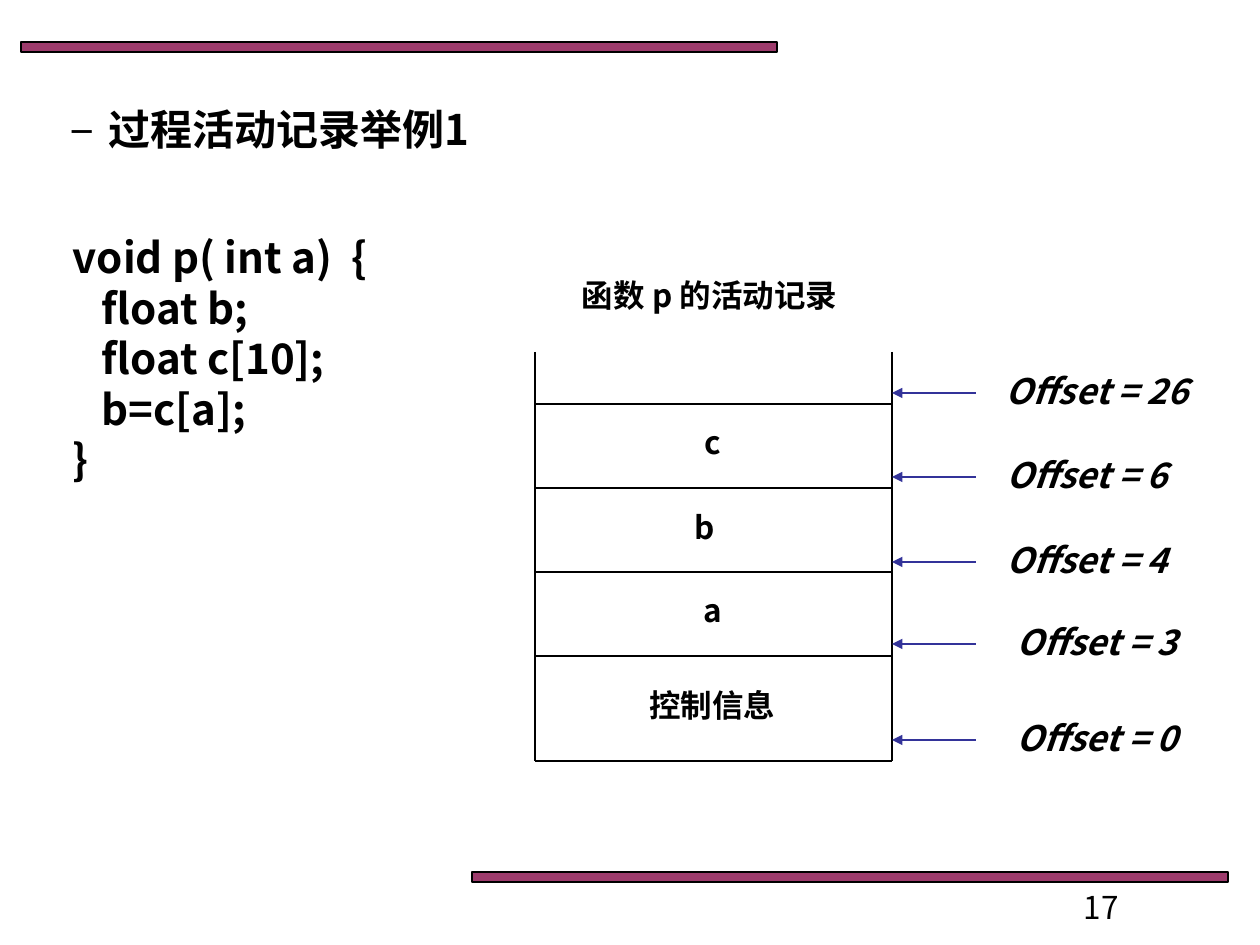
from lxml.etree import SubElement
from pptx import Presentation
from pptx.dml.color import RGBColor
from pptx.enum.shapes import MSO_CONNECTOR as Connector, MSO_SHAPE as Shape
from pptx.enum.text import MSO_ANCHOR as Anchor, MSO_AUTO_SIZE as AutoSize, PP_ALIGN as Align
from pptx.oxml.ns import qn
from pptx.util import Pt

PX = 914400 // 126
FONT = "Noto Sans CJK SC"
COLORS = {"bar": "993366", "ink": "000000", "arrow": "333399"}
LEFT, RIGHT, TOP, BOTTOM = 535, 892, 352, 761
CODE = ["void p( int a)  {", "   float b;", "   float c[10];", "   b=c[a];", "}"]
DIVIDERS = [404, 488, 572, 656, BOTTOM]
CELLS = [("c", 543, 414), ("b", 535, 499), ("a", 543, 582), ("控制信息", 543, 677)]
OFFSETS = [
    ("Offset = 26", 976, 242, 393),
    ("Offset = 6", 966, 242, 477),
    ("Offset = 4", 966, 242, 562),
    ("Offset = 3", 966, 262, 644),
    ("Offset = 0", 966, 262, 740),
]


def px(*values):
    return [value * PX for value in values]


def rgb(name):
    return RGBColor.from_string(COLORS[name])


def apply(target, values):
    for name, value in values.items():
        setattr(target, name, value)


def fill_text(box, lines, size, align=Align.LEFT, wrap=True, bold=True, italic=False):
    frame = box.text_frame
    apply(frame, {
        "auto_size": AutoSize.NONE, "word_wrap": wrap, "vertical_anchor": Anchor.TOP,
        "margin_left": 13 * PX, "margin_right": 13 * PX,
        "margin_top": 9 * PX, "margin_bottom": 4 * PX,
    })
    for index, line in enumerate(lines):
        para = frame.add_paragraph() if index else frame.paragraphs[0]
        apply(para, {"alignment": align, "line_spacing": Pt(size * 1.2), "space_before": Pt(0)})
        span = para.add_run()
        span.text = line
        span.font.color.rgb = rgb("ink")
        apply(span.font, {"size": Pt(size), "bold": bold, "italic": italic, "name": FONT})
        SubElement(span.font._element, qn("a:ea"), typeface=FONT)


def add_text(page, area, lines, size, **options):
    fill_text(page.shapes.add_textbox(*px(*area)), lines, size, **options)


def add_title(page, text):
    title = page.shapes.title
    apply(title, dict(zip(("left", "top", "width", "height"), px(58, 95, 834, 63))))
    fill_text(title, [text], 24)
    props = title.text_frame.paragraphs[0]._p.get_or_add_pPr()
    props.set("marL", str(38 * PX))
    props.set("indent", str(-38 * PX))
    SubElement(props, qn("a:buFont"), typeface=FONT)
    SubElement(props, qn("a:buChar"), char="−")


def add_bar(page, left, top):
    bar = page.shapes.add_shape(Shape.RECTANGLE, *px(left, top, 756, 10))
    bar.shadow.inherit = False
    bar.fill.solid()
    bar.fill.fore_color.rgb = rgb("bar")
    color = bar._element.spPr.find(qn("a:solidFill"))[0]
    SubElement(color, qn("a:alpha"), val="96000")
    bar.line.color.rgb = rgb("ink")
    bar.line.width = Pt(0.75)


def add_line(page, ends, color="ink", arrow=False):
    line = page.shapes.add_connector(Connector.STRAIGHT, *px(*ends))
    line.line.color.rgb = rgb(color)
    line.line.width = Pt(0.75)
    if arrow:
        SubElement(line.line._get_or_add_ln(), qn("a:tailEnd"), type="triangle")
    SubElement(line._element.spPr, qn("a:effectLst"))


def add_record(page):
    for side in (LEFT, RIGHT):
        add_line(page, (side, TOP, side, BOTTOM))
    for level in DIVIDERS:
        add_line(page, (LEFT, level, RIGHT, level))
    for name, left, top in CELLS:
        add_text(page, (left, top, 339, 50), [name], 18, align=Align.CENTER)


def add_offsets(page):
    for label, left, width, level in OFFSETS:
        add_line(page, (976, level, RIGHT, level), "arrow", arrow=True)
        add_text(page, (left, level - 32, width, 55), [label], 20,
                 align=Align.CENTER, italic=True)


def main():
    deck = Presentation()
    deck.slide_width, deck.slide_height = px(1260, 945)
    page = deck.slides.add_slide(deck.slide_layouts[5])
    add_bar(page, 21, 42)
    add_bar(page, 472, 872)
    add_title(page, "过程活动记录举例1")
    add_text(page, (60, 223, 416, 267), CODE, 24)
    add_text(page, (561, 267, 297, 50), ["函数 p 的活动记录"], 18,
             align=Align.CENTER, wrap=False)
    add_record(page)
    add_offsets(page)
    add_text(page, (1071, 879, 199, 23), ["17"], 18, bold=False)
    deck.save("out.pptx")


if __name__ == "__main__":
    main()
